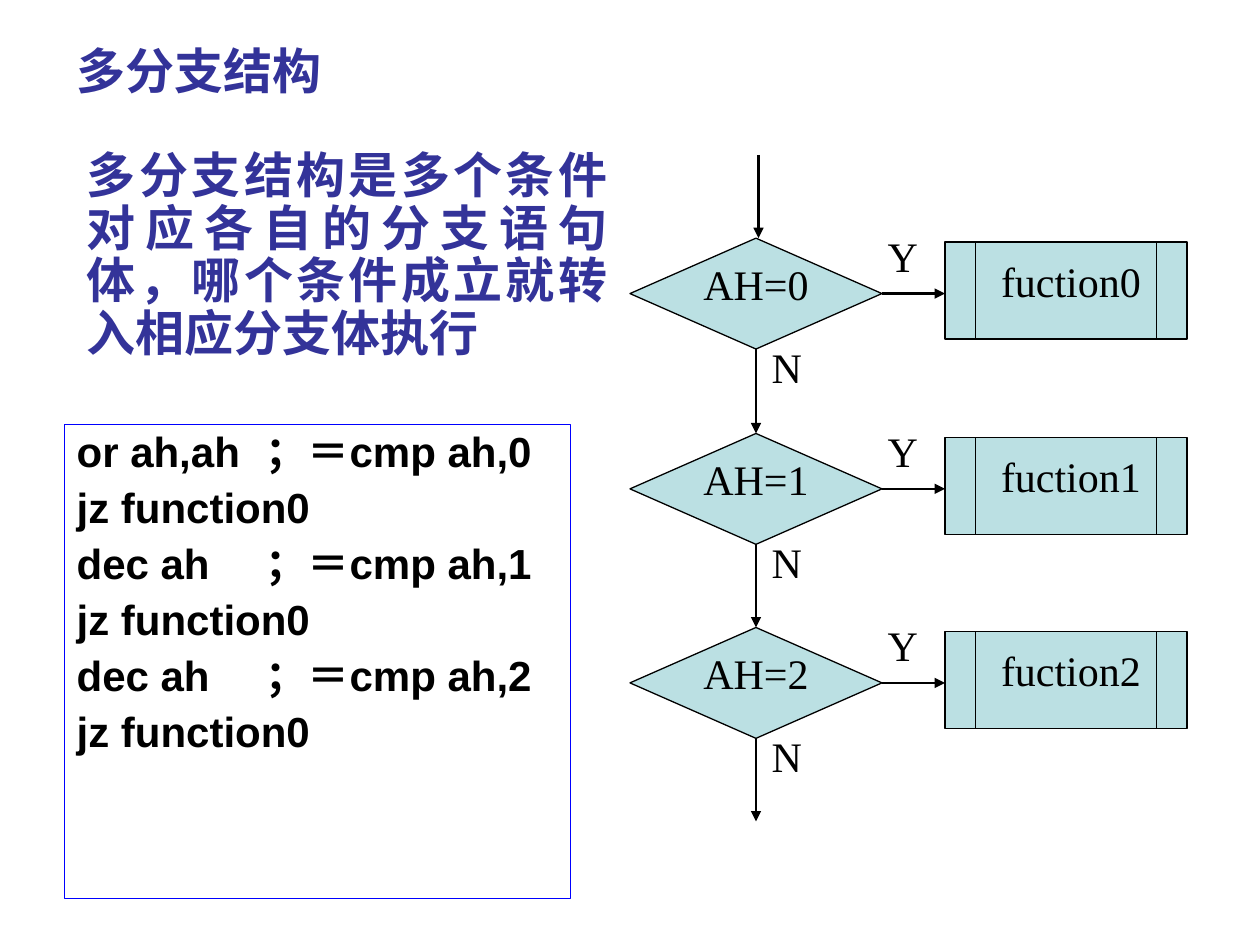
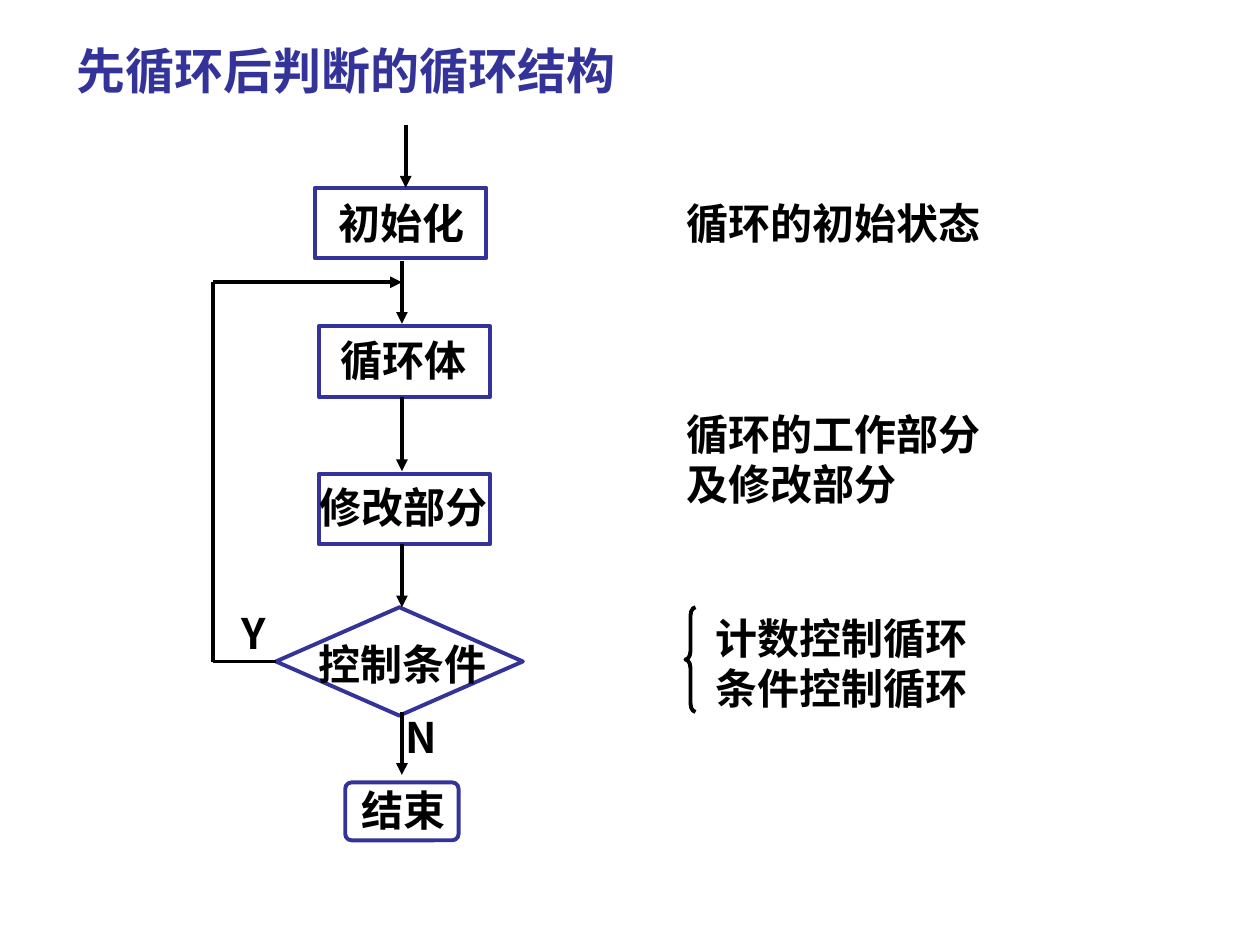
from lxml import etree
from pptx import Presentation
from pptx.dml.color import RGBColor
from pptx.enum.shapes import MSO_CONNECTOR, MSO_SHAPE
from pptx.enum.text import MSO_ANCHOR, MSO_AUTO_SIZE, PP_ALIGN
from pptx.oxml.ns import qn
from pptx.util import Inches, Pt

STRAIGHT = MSO_CONNECTOR.STRAIGHT
RECTANGLE, ROUNDED = MSO_SHAPE.RECTANGLE, MSO_SHAPE.ROUNDED_RECTANGLE
DECISION, PROCEDURE = MSO_SHAPE.FLOWCHART_DECISION, MSO_SHAPE.FLOWCHART_PREDEFINED_PROCESS
BRACE = MSO_SHAPE.LEFT_BRACE
TOP, MIDDLE = MSO_ANCHOR.TOP, MSO_ANCHOR.MIDDLE
LEFT, CENTER, JUSTIFY = PP_ALIGN.LEFT, PP_ALIGN.CENTER, PP_ALIGN.JUSTIFY
NO_AUTOFIT = MSO_AUTO_SIZE.NONE
SITE_TOP, SITE_LEFT, SITE_BOTTOM, SITE_RIGHT = range(4)

NAVY = RGBColor(0x33, 0x33, 0x99)
BLUE = RGBColor(0x00, 0x00, 0xFF)
PALE_BLUE = RGBColor(0xBB, 0xE0, 0xE3)
BLACK = RGBColor(0x00, 0x00, 0x00)
WHITE = RGBColor(0xFF, 0xFF, 0xFF)

CJK = "Noto Sans CJK SC"
PADDING = (0.1, 0.05, 0.1, 0.05)
NO_PADDING = (0, 0, 0, 0)
HEADING = dict(name="Arial", size=Pt(28), bold=True, color=NAVY)
CODE = dict(name="Arial", size=Pt(24), bold=True, color=BLACK)
SERIF = dict(name="Times New Roman", size=Pt(24), bold=False, color=BLACK)
LABEL = dict(name=CJK, size=Pt(24), bold=True, color=BLACK)

TITLE_AT = (0.51, 0.28, 9, 0.55)

BRANCH_TITLE = "多分支结构"
BRANCH_TEXT = "多分支结构是多个条件对应各自的分支语句体，哪个条件成立就转入相应分支体执行"
BRANCH_TEXT_AT = (0.59, 1.15, 4.33, 1.78)
CODE_LINES = [
    "or ah,ah\t；＝cmp ah,0",
    "jz function0",
    "dec ah\t；＝cmp ah,1",
    "jz function0",
    "dec ah\t；＝cmp ah,2",
    "jz function0",
]
CODE_AT = (0.51, 3.37, 4.02, 3.76)
CODE_PADDING = (0.1, 0.05, 0.28, 0.05)
CODE_TABS = (0, 1.67, 2, 3, 4, 5, 6, 7)
BRANCHES = [("AH=0", "fuction0", 1.89), ("AH=1", "fuction1", 3.44), ("AH=2", "fuction2", 4.98)]
BRANCH_AXIS, BRANCH_ARROW = 6, 0.66
ENTRY_X = 6.02
TEST_WIDTH, TEST_HEIGHT = 2, 0.88
CALL_LEFT, CALL_OFFSET, CALL_WIDTH, CALL_HEIGHT = 7.5, 0.03, 1.92, 0.77

LOOP_TITLE = "先循环后判断的循环结构"
LOOP_STEPS = [
    ("初始化", RECTANGLE, (2.5, 1.49, 1.36, 0.56), (0.02, 0, 0, 0)),
    ("循环体", RECTANGLE, (2.53, 2.59, 1.36, 0.56), (0, 0, 0.02, 0.03)),
    ("修改部分", RECTANGLE, (2.53, 3.76, 1.36, 0.56), (0, 0, 0.02, 0.03)),
    ("控制条件", DECISION, (2.19, 4.82, 1.96, 0.86), (0.05, 0.04, 0, 0)),
    ("结束", ROUNDED, (2.74, 6.21, 0.9, 0.46), (0.02, 0, 0, 0.02)),
]
LOOP_AXIS = 3.19
LOOP_ENTRY = ((3.22, 0.99), (3.22, 1.49))
LOOP_ARROWS = [(2.07, 2.57), (3.15, 3.74), (4.32, 4.82), (5.65, 6.15)]
RETURN_LEFT, RETURN_TOP, RETURN_BOTTOM = 1.69, 2.24, 5.25
LOOP_NOTES = [
    (["循环的初始状态"], (5.45, 1.57, 2.33, 0.4)),
    (["循环的工作部分", "及修改部分"], (5.45, 3.24, 2.33, 0.8)),
    (["计数控制循环", "条件控制循环"], (5.68, 4.86, 2, 0.8)),
    (["Y"], (1.92, 4.82, 0.21, 0.4)),
    (["N"], (3.22, 5.65, 0.27, 0.4)),
]
BRACE_AT = (5.44, 4.82, 0.08, 0.83)


def write(shape, lines, style, align=CENTER, anchor=MIDDLE, padding=NO_PADDING,
          wrap=True, leading=None, gap=0, tabs=()):
    frame = shape.text_frame
    frame_format = dict(auto_size=NO_AUTOFIT, word_wrap=wrap, vertical_anchor=anchor)
    sides = ("margin_left", "margin_top", "margin_right", "margin_bottom")
    frame_format.update(zip(sides, map(Inches, padding)))
    for key, value in frame_format.items():
        setattr(frame, key, value)
    for index, line in enumerate(lines):
        paragraph = frame.paragraphs[0] if index == 0 else frame.add_paragraph()
        properties = paragraph._p.get_or_add_pPr()
        for key in ("marL", "indent", "hangingPunct"):
            properties.set(key, "0")
        etree.SubElement(properties, qn("a:buNone"))
        if tabs:
            stops = etree.SubElement(properties, qn("a:tabLst"))
            for tab in tabs:
                etree.SubElement(stops, qn("a:tab"), pos=str(Inches(tab)), algn="l")
        paragraph.alignment = align
        paragraph.line_spacing = leading
        paragraph.space_before = Pt(gap if index else 0)
        run = paragraph.add_run()
        run.text = line
        for key in ("name", "size", "bold"):
            setattr(run.font, key, style[key])
        run.font.color.rgb = style["color"]
        etree.SubElement(run._r.get_or_add_rPr(), qn("a:ea"), typeface=CJK)


def place(shape, at):
    for key, value in zip(("left", "top", "width", "height"), at):
        setattr(shape, key, Inches(value))


def add_shape(slide, kind, at, line, weight, fill=None):
    shape = slide.shapes.add_shape(kind, *map(Inches, at))
    shape.shadow.inherit = False
    shape.line.color.rgb = line
    shape.line.width = Pt(weight)
    if fill is None:
        shape.fill.background()
    else:
        shape.fill.solid()
        shape.fill.fore_color.rgb = fill
    return shape


def add_label(slide, lines, at, style, **options):
    write(slide.shapes.add_textbox(*map(Inches, at)), lines, style, anchor=TOP, **options)


def add_line(slide, start, end, weight, arrow=True, begin_site=None, end_site=None):
    connector = slide.shapes.add_connector(STRAIGHT, *map(Inches, (*start, *end)))
    if begin_site:
        connector.begin_connect(*begin_site)
    if end_site:
        connector.end_connect(*end_site)
    connector.line.color.rgb = BLACK
    connector.line.width = Pt(weight)
    if arrow:
        etree.SubElement(connector.line._get_or_add_ln(), qn("a:tailEnd"), type="triangle")
    etree.SubElement(connector._element.spPr, qn("a:effectLst"))


def add_titled_slide(presentation, layout, title):
    slide = presentation.slides.add_slide(presentation.slide_layouts[layout])
    place(slide.shapes.title, TITLE_AT)
    write(slide.shapes.title, [title], HEADING, align=LEFT, padding=PADDING)
    return slide


def build_branch_slide(presentation):
    slide = add_titled_slide(presentation, 1, BRANCH_TITLE)
    body = slide.placeholders[1]
    place(body, BRANCH_TEXT_AT)
    write(body, [BRANCH_TEXT], HEADING, align=JUSTIFY, anchor=TOP,
          padding=PADDING, leading=Pt(30))

    code_box = add_shape(slide, RECTANGLE, CODE_AT, BLUE, 0.75, WHITE)
    write(code_box, CODE_LINES, CODE, align=JUSTIFY, anchor=TOP, padding=CODE_PADDING,
          leading=Pt(26), gap=6, tabs=CODE_TABS)

    tests = []
    for condition, function, top in BRANCHES:
        test = add_shape(slide, DECISION, (BRANCH_AXIS - TEST_WIDTH / 2, top, TEST_WIDTH, TEST_HEIGHT),
                         BLACK, 0.75, PALE_BLUE)
        write(test, [condition], SERIF, padding=(0, 0, 0, 0.16), wrap=False)
        call = add_shape(slide, PROCEDURE, (CALL_LEFT, top + CALL_OFFSET, CALL_WIDTH, CALL_HEIGHT),
                         BLACK, 0.75, PALE_BLUE)
        write(call, [function], SERIF, padding=(0.08, 0, 0, 0.16), wrap=False)
        middle = top + TEST_HEIGHT / 2
        add_line(slide, (BRANCH_AXIS + TEST_WIDTH / 2, middle), (CALL_LEFT, middle), 1.5,
                 begin_site=(test, SITE_RIGHT))
        for answer, left, offset in (("Y", 6.75, -0.11), ("N", 5.83, 0.77)):
            add_label(slide, [answer], (left, top + offset, 0.83, 0.5), SERIF, padding=PADDING)
        tests.append(test)

    first_top = BRANCHES[0][2]
    add_line(slide, (ENTRY_X, first_top - BRANCH_ARROW), (ENTRY_X, first_top), 1.5)
    following = [(test, SITE_TOP) for test in tests[1:]] + [None]
    for (_, _, top), test, end_site in zip(BRANCHES, tests, following):
        bottom = top + TEST_HEIGHT
        add_line(slide, (BRANCH_AXIS, bottom), (BRANCH_AXIS, bottom + BRANCH_ARROW), 1.5,
                 begin_site=(test, SITE_BOTTOM), end_site=end_site)


def build_loop_slide(presentation):
    slide = add_titled_slide(presentation, 5, LOOP_TITLE)
    steps = {}
    for name, kind, at, padding in LOOP_STEPS:
        step = add_shape(slide, kind, at, NAVY, 2.25)
        if kind == ROUNDED:
            step.adjustments[0] = 0.11
        write(step, [name], LABEL, padding=padding, wrap=False, leading=Pt(28.8))
        steps[name] = step

    add_line(slide, *LOOP_ENTRY, 2.25)
    for start, end in LOOP_ARROWS:
        add_line(slide, (LOOP_AXIS, start), (LOOP_AXIS, end), 2.25)

    lower_corner, upper_corner = (RETURN_LEFT, RETURN_BOTTOM), (RETURN_LEFT, RETURN_TOP)
    add_line(slide, (2.19, RETURN_BOTTOM), lower_corner, 2.25, arrow=False,
             begin_site=(steps["控制条件"], SITE_LEFT))
    add_line(slide, lower_corner, upper_corner, 2.25, arrow=False)
    add_line(slide, upper_corner, (LOOP_AXIS, RETURN_TOP), 2.25)

    for lines, at in LOOP_NOTES:
        add_label(slide, lines, at, LABEL, align=JUSTIFY, wrap=False, leading=Pt(28.8))
    brace = add_shape(slide, BRACE, BRACE_AT, BLACK, 2.25)
    brace.adjustments[0] = 0.83


def main():
    presentation = Presentation()
    presentation.slide_width = Inches(10)
    presentation.slide_height = Inches(7.5)
    build_branch_slide(presentation)
    build_loop_slide(presentation)
    presentation.save("out.pptx")


if __name__ == "__main__":
    main()
